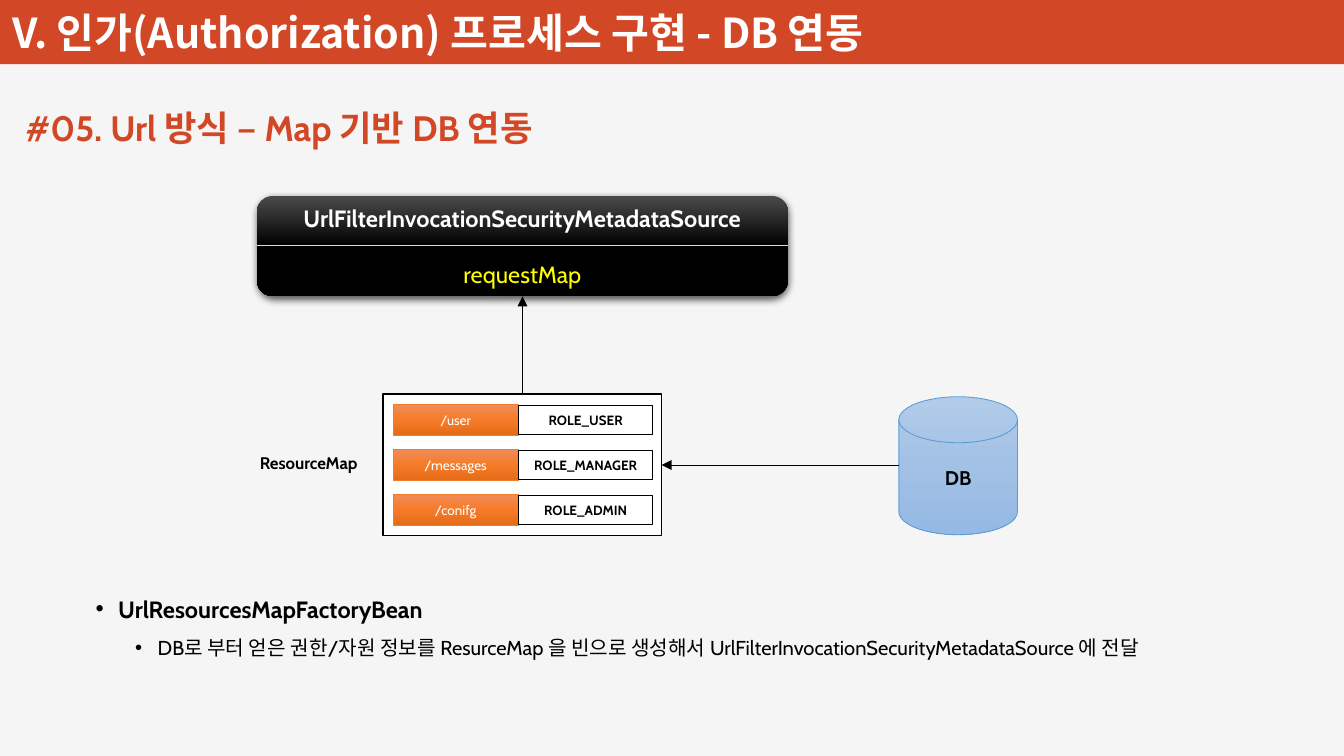
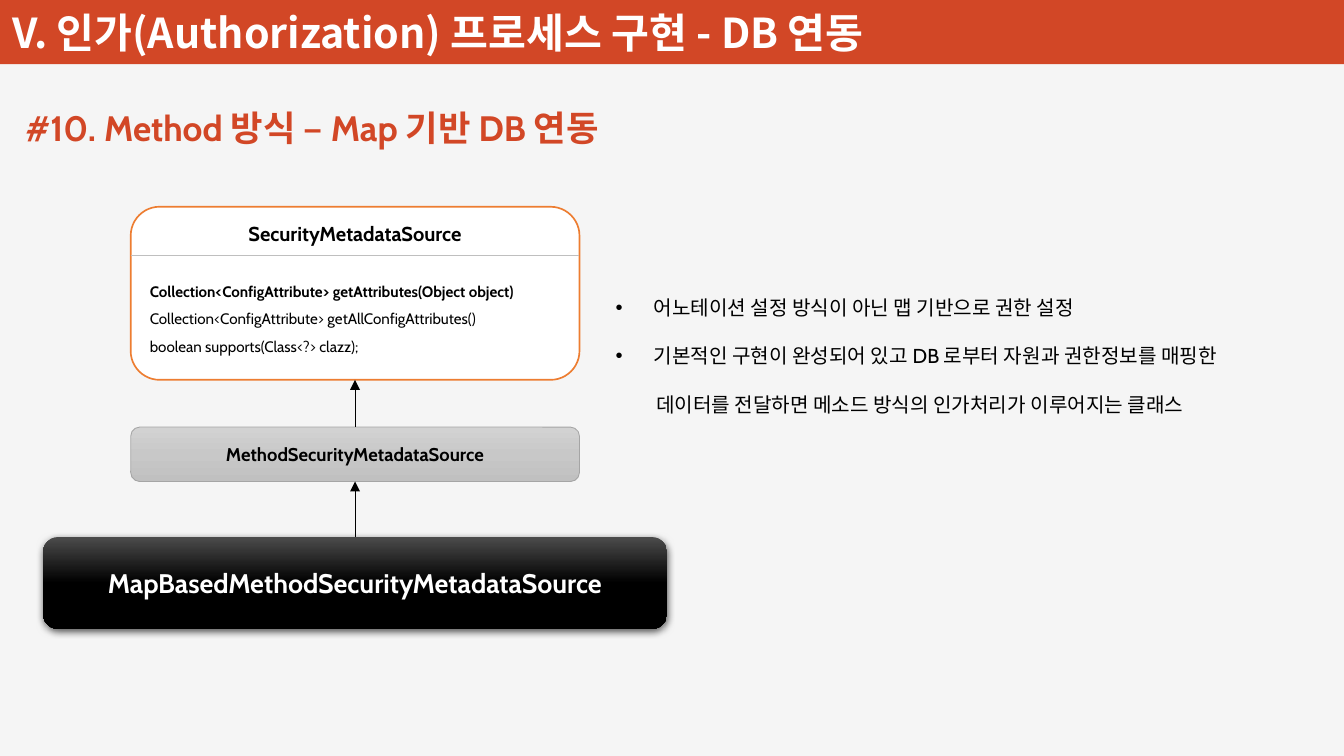
"""Build two slides on authorization metadata sources backed by a database."""
from copy import deepcopy

from lxml import etree
from pptx import Presentation
from pptx.dml.color import RGBColor
from pptx.enum.shapes import MSO_CONNECTOR, MSO_SHAPE
from pptx.enum.text import MSO_ANCHOR, MSO_AUTO_SIZE, PP_ALIGN
from pptx.oxml.ns import qn
from pptx.util import Pt

RECTANGLE = MSO_SHAPE.RECTANGLE
ROUNDED = MSO_SHAPE.ROUNDED_RECTANGLE
DISK = MSO_SHAPE.FLOWCHART_MAGNETIC_DISK
STRAIGHT = MSO_CONNECTOR.STRAIGHT
LEFT, CENTER = PP_ALIGN.LEFT, PP_ALIGN.CENTER
TOP, MIDDLE, BOTTOM = MSO_ANCHOR.TOP, MSO_ANCHOR.MIDDLE, MSO_ANCHOR.BOTTOM
NO_AUTOFIT = MSO_AUTO_SIZE.NONE
TOP_SIDE, BOTTOM_SIDE, RIGHT_SIDE = 0, 2, 3


class Theme:
    latin, korean = "Cabin", "Noto Sans CJK KR"
    page, accent = "F5F5F5", "D24726"
    black, white, yellow = "000000", "FFFFFF", "FFFF00"
    orange_line, blue_line, gray_line = "ED7D31", "5B9BD5", "A5A5A5"
    light_divider, dark_divider = "D9D9D9", "BFBFBF"
    black_blend = ("4B4B4B", "000000", "000000")
    orange_blend = ("F18C57", "F67B28", "E56C19")
    blue_blend = ("B1CBE9", "A3C1E5", "93B9E4")
    gray_blend = ("D2D2D2", "C8C8C8", "C0C0C0")
    band_size, heading_size, hero_size, class_size = 24.5, 21, 16, 14
    body_size, disk_size, parent_size = 12, 11.8, 11
    label_size, method_size, cell_size = 10, 9, 8


def write(shape, text, size=Theme.body_size, color=Theme.black, bold=False, align=LEFT,
          font=Theme.latin, spacing=1.0, before=0, anchor=TOP, level=0,
          bullet=None, margin=0, hanging=0):
    frame = shape.text_frame
    frame.word_wrap = True
    frame.auto_size = NO_AUTOFIT
    frame.vertical_anchor = anchor
    paragraph = frame.paragraphs[0]
    if paragraph.runs:
        paragraph = frame.add_paragraph()
    paragraph.level = level
    paragraph.alignment = align
    paragraph.line_spacing = spacing
    paragraph.space_before = Pt(before)
    properties = paragraph._p.get_or_add_pPr()
    properties.set("marL", str(Pt(margin)))
    properties.set("indent", str(Pt(-hanging)))
    if bullet:
        etree.SubElement(properties, qn("a:buChar")).set("char", bullet)
    else:
        etree.SubElement(properties, qn("a:buNone"))
    run = paragraph.add_run()
    run.text = text
    run.font.name = font
    run.font.size = Pt(size)
    run.font.bold = bold
    run.font.color.rgb = RGBColor.from_string(color)
    east_asian = etree.Element(qn("a:ea"))
    east_asian.set("typeface", Theme.korean)
    run.font._element.find(qn("a:latin")).addnext(east_asian)


def draw(slide, kind, box, fill, line=None, weight=0.5, shadow=False):
    shape = slide.shapes.add_shape(kind, *map(Pt, box))
    shape.shadow.inherit = False
    properties = shape.element.spPr
    if isinstance(fill, str):
        shape.fill.solid()
        shape.fill.fore_color.rgb = RGBColor.from_string(fill)
    else:
        shape.fill.gradient()
        shape.fill.gradient_angle = 270
        stops = properties.find(".//" + qn("a:gsLst"))
        stops.append(deepcopy(stops[-1]))
        for stop, color, position in zip(shape.fill.gradient_stops, fill, (0, 0.5, 1)):
            stop.color.rgb = RGBColor.from_string(color)
            stop.position = position
    if line:
        shape.line.color.rgb = RGBColor.from_string(line)
        shape.line.width = Pt(weight)
    else:
        shape.line.fill.background()
    if shadow:
        outer = etree.SubElement(properties.find(qn("a:effectLst")), qn("a:outerShdw"),
                                 blurRad=str(Pt(4.5)), dist=str(Pt(1.5)),
                                 dir="5400000", algn="t", rotWithShape="0")
        color = etree.SubElement(outer, qn("a:srgbClr"), val=Theme.black)
        etree.SubElement(color, qn("a:alpha"), val="63000")
    return shape


presentation = Presentation()
presentation.slide_width, presentation.slide_height = Pt(800), Pt(450)
layout = presentation.slide_layouts[1]
layout.background.fill.solid()
layout.background.fill.fore_color.rgb = RGBColor.from_string(Theme.page)

slides = []
for heading, heading_width, body_box in (
    ("#05. Url 방식 – Map 기반 DB 연동", 339.8, (49.7, 342, 672.5, 54.7)),
    ("#10. Method 방식 – Map 기반 DB 연동", 401, (359.3, 157.7, 409.7, 94.3)),
):
    slide = presentation.slides.add_slide(layout)
    title, body = slide.shapes.title, slide.placeholders[1]
    for placeholder, box in ((title, (7.9, 59.8, heading_width, 32.4)), (body, body_box)):
        placeholder.left, placeholder.top, placeholder.width, placeholder.height = map(Pt, box)
    write(title, heading, size=Theme.heading_size, color=Theme.accent, bold=True)
    slides.append(slide)
url_slide, method_slide = slides

band = draw(url_slide, RECTANGLE, (0, 0, 800, 38.2), Theme.accent)
band_title = url_slide.shapes.add_textbox(Pt(0.7), Pt(-7.2), Pt(576), Pt(43.9))
write(band_title, "V. 인가(Authorization) 프로세스 구현 - DB 연동", size=Theme.band_size,
      color=Theme.white, bold=True, font=Theme.korean, anchor=BOTTOM)
band_frame = band_title.text_frame
band_frame.margin_left = band_frame.margin_right = Pt(6.5)
band_frame.margin_top = band_frame.margin_bottom = Pt(2.9)
for order, shape in enumerate((band, band_title)):
    shape.element.nvSpPr.cNvPr.set("id", str(100 + order))
    layout.shapes.element.insert(2 + order, shape.element)

url_source = draw(url_slide, ROUNDED, (152.8, 116.6, 316.4, 59.8), Theme.black_blend, shadow=True)
write(url_source, "UrlFilterInvocationSecurityMetadataSource", size=Theme.class_size,
      color=Theme.white, bold=True, align=CENTER, anchor=MIDDLE)
write(url_source, "requestMap", size=Theme.class_size, color=Theme.yellow,
      align=CENTER, anchor=MIDDLE, before=17)

map_label = url_slide.shapes.add_textbox(Pt(147.6), Pt(265.7), Pt(79.2), Pt(19.4))
write(map_label, "ResourceMap", size=Theme.label_size, bold=True)
resource_map = draw(url_slide, RECTANGLE, (228.2, 234.7, 165.6, 84.2),
                    Theme.white, Theme.black, 1)
for row, (address, role) in enumerate((
    ("/user", "ROLE_USER"),
    ("/messages", "ROLE_MANAGER"),
    ("/conifg", "ROLE_ADMIN"),
)):
    top = 241 + 26.75 * row
    address_cell = draw(url_slide, RECTANGLE, (234, top, 74.5, 18),
                        Theme.orange_blend, Theme.orange_line)
    write(address_cell, address, size=Theme.cell_size, color=Theme.white,
          align=CENTER, anchor=MIDDLE)
    role_cell = draw(url_slide, RECTANGLE, (308.7, top + 0.5, 79.9, 17.2),
                     Theme.white, Theme.black, 0.75)
    write(role_cell, role, size=Theme.cell_size, bold=True, align=CENTER, anchor=MIDDLE)

database = draw(url_slide, DISK, (535, 236.2, 70.6, 82.1), Theme.blue_blend, Theme.blue_line)
write(database, "DB", size=Theme.disk_size, bold=True, align=CENTER, anchor=MIDDLE)

url_body = url_slide.placeholders[1]
write(url_body, "UrlResourcesMapFactoryBean", size=Theme.class_size, bold=True,
      spacing=1.5, bullet="•", margin=13.5, hanging=13.5)
write(url_body, "DB로 부터 얻은 권한/자원 정보를 ResurceMap 을 빈으로 생성해서 "
      "UrlFilterInvocationSecurityMetadataSource 에 전달",
      spacing=1.5, level=1, bullet="•", margin=37, hanging=13.5)

interface = draw(method_slide, ROUNDED, (77.8, 123.1, 267.1, 103), Theme.white,
                 Theme.orange_line, 1)
write(interface, "SecurityMetadataSource", bold=True, align=CENTER)
method_list = method_slide.shapes.add_textbox(Pt(82.1), Pt(159.1), Pt(260.6), Pt(56.2))
for signature, bold in (
    ("Collection<ConfigAttribute> getAttributes(Object object)", True),
    ("Collection<ConfigAttribute> getAllConfigAttributes()", False),
    ("boolean supports(Class<?> clazz);", False),
):
    write(method_list, signature, size=Theme.method_size, bold=bold, spacing=1.5)

method_source = draw(method_slide, ROUNDED, (77.8, 254.2, 267.1, 32.4),
                     Theme.gray_blend, Theme.gray_line)
write(method_source, "MethodSecurityMetadataSource", size=Theme.parent_size, bold=True,
      align=CENTER, anchor=MIDDLE)
map_source = draw(method_slide, ROUNDED, (25.6, 319.7, 371.5, 54.7),
                  Theme.black_blend, shadow=True)
write(map_source, "MapBasedMethodSecurityMetadataSource", size=Theme.hero_size,
      color=Theme.white, bold=True, align=CENTER, anchor=MIDDLE)

method_body = method_slide.placeholders[1]
for text, bullet, margin, hanging in (
    ("어노테이션 설정 방식이 아닌 맵 기반으로 권한 설정", "•", 22.5, 22.5),
    ("기본적인 구현이 완성되어 있고 DB 로부터 자원과 권한정보를 매핑한", "•", 22.5, 22.5),
    ("데이터를 전달하면 메소드 방식의 인가처리가 이루어지는 클래스", None, 24, 0),
):
    write(method_body, text, spacing=2.0, bullet=bullet, margin=margin, hanging=hanging)

for slide, ends, color, source, target, side in (
    (url_slide, (152.8, 146.2, 469.2, 146.2), Theme.light_divider, None, None, None),
    (url_slide, (311, 234.7, 311, 176.4), Theme.black, resource_map, url_source, BOTTOM_SIDE),
    (url_slide, (535, 276.8, 393.8, 276.8), Theme.black, None, resource_map, RIGHT_SIDE),
    (method_slide, (77.8, 151.9, 344.9, 151.9), Theme.dark_divider, None, None, None),
    (method_slide, (211.35, 254.2, 211.35, 226.1), Theme.black,
     method_source, interface, BOTTOM_SIDE),
    (method_slide, (211.35, 319.7, 211.35, 286.6), Theme.black,
     map_source, method_source, BOTTOM_SIDE),
):
    connector = slide.shapes.add_connector(STRAIGHT, *map(Pt, ends))
    connector.line.color.rgb = RGBColor.from_string(color)
    connector.line.width = Pt(0.5)
    etree.SubElement(connector.element.spPr, qn("a:effectLst"))
    if source:
        connector.begin_connect(source, TOP_SIDE)
    if target:
        connector.end_connect(target, side)
        etree.SubElement(connector.line._get_or_add_ln(), qn("a:tailEnd"), type="triangle")

presentation.save("out.pptx")
